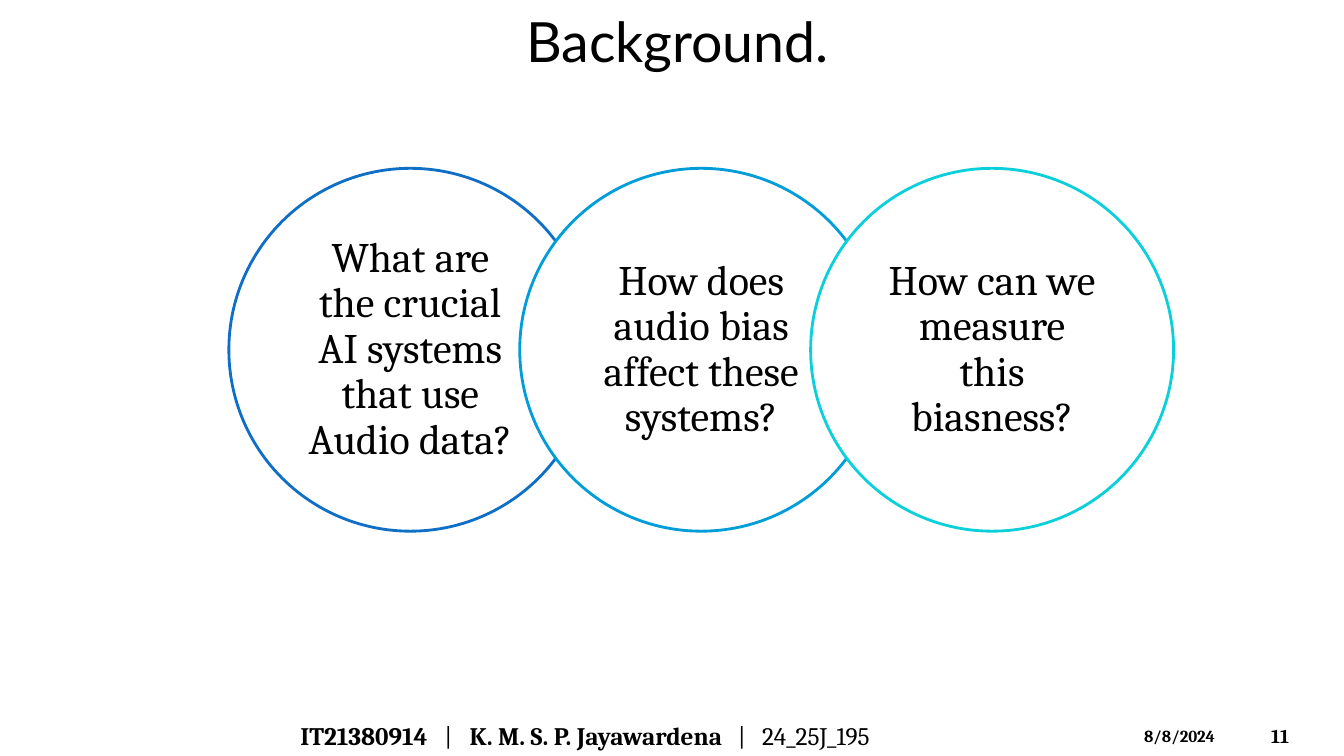
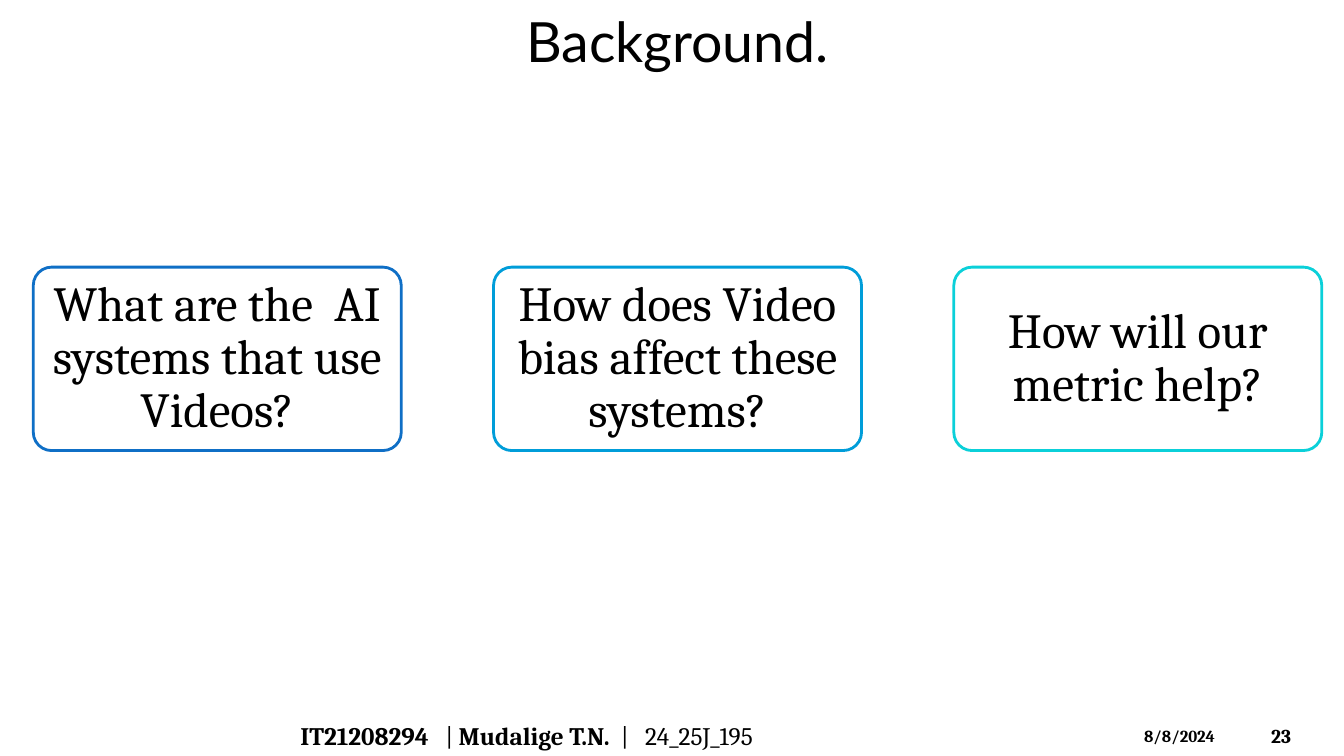
from lxml import etree
from pptx import Presentation
from pptx.dml.color import RGBColor
from pptx.enum.shapes import MSO_SHAPE
from pptx.enum.text import MSO_ANCHOR, PP_ALIGN
from pptx.oxml.ns import qn
from pptx.util import Emu, Pt

OVAL = MSO_SHAPE.OVAL
ROUNDED = MSO_SHAPE.ROUNDED_RECTANGLE
MIDDLE = MSO_ANCHOR.MIDDLE
TOP = MSO_ANCHOR.TOP
LEFT = PP_ALIGN.LEFT
CENTER = PP_ALIGN.CENTER

BLACK = RGBColor(0x00, 0x00, 0x00)
WHITE = RGBColor(0xFF, 0xFF, 0xFF)
OUTLINES = (
    RGBColor(0x0F, 0x6F, 0xC6),
    RGBColor(0x00, 0x9D, 0xD9),
    RGBColor(0x0B, 0xD0, 0xD9),
)
BODY_FONT = "Cambria"
TITLE_FONT = "Lato"

EMU_PER_PX = 9144
SLIDE_WIDTH, SLIDE_HEIGHT = 1333, 750
TITLE_BOX = (33, 7, 1278, 66)
AUTHOR_BOX = (288, 710, 745, 40)
DATE_BOX = (1125, 715, 117, 30)
NUMBER_BOX = (1251, 710, 74, 40)
DATE = "8/8/2024"
PROJECT = "24_25J_195"


def px(value):
    return Emu(round(value * EMU_PER_PX))


def write_text(shape, runs, *, size, font=BODY_FONT, align=LEFT, anchor=MIDDLE,
               spacing=None, insets=(10, 5), tabs=()):
    frame = shape.text_frame
    frame.word_wrap = True
    frame.vertical_anchor = anchor
    frame.margin_left = frame.margin_right = px(insets[0])
    frame.margin_top = frame.margin_bottom = px(insets[1])
    paragraph = frame.paragraphs[0]
    paragraph.alignment = align
    if spacing:
        paragraph.line_spacing = spacing
    if tabs:
        properties = paragraph._p.get_or_add_pPr()
        tab_list = etree.SubElement(properties, qn("a:tabLst"))
        for position in tabs:
            etree.SubElement(tab_list, qn("a:tab"), pos=str(px(position)), algn="l")
    for text, bold in runs:
        run = paragraph.add_run()
        run.text = text
        run.font.name = font
        run.font.size = Pt(size)
        run.font.bold = bold
        run.font.color.rgb = BLACK


def add_text(slide, box, runs, **text_format):
    shape = slide.shapes.add_textbox(*map(px, box))
    write_text(shape, runs, **text_format)


def add_title(slide, box, title):
    add_text(slide, box, [(title, False)], size=39.6, font=TITLE_FONT, align=CENTER)


def add_footer(slide, student, name, tabs, number):
    author_runs = [
        (student, True),
        ("\t|\t", False),
        (name, True),
        ("\t|\t" + PROJECT, False),
    ]
    add_text(slide, AUTHOR_BOX, author_runs, size=18, tabs=tabs)
    add_text(slide, DATE_BOX, [(DATE, True)], size=12, anchor=TOP)
    add_text(slide, NUMBER_BOX, [(number, True)], size=14)


def add_question_row(slide, box, questions, *, kind, width, size, insets, corner=None):
    left, top, row_width, height = box
    pitch = (row_width - width) / (len(questions) - 1)
    for index, (question, outline) in enumerate(zip(questions, OUTLINES)):
        card = (left + index * pitch, top, width, height)
        shape = slide.shapes.add_shape(kind, *map(px, card))
        shape.shadow.inherit = False
        if corner is not None:
            shape.adjustments[0] = corner
        shape.fill.solid()
        shape.fill.fore_color.rgb = WHITE
        shape.line.color.rgb = outline
        shape.line.width = Pt(2)
        write_text(shape, [(question, False)], size=size, align=CENTER,
                   spacing=0.9, insets=insets)


def add_background_slide(presentation, footer, box, questions, **row_format):
    slide = presentation.slides.add_slide(presentation.slide_layouts[6])
    add_title(slide, TITLE_BOX, "Background.")
    add_question_row(slide, box, questions, **row_format)
    add_footer(slide, **footer)


def main():
    presentation = Presentation()
    presentation.slide_width = px(SLIDE_WIDTH)
    presentation.slide_height = px(SLIDE_HEIGHT)

    add_background_slide(
        presentation,
        {"student": "IT21380914", "name": "K. M. S. P. Jayawardena",
         "tabs": (143, 168, 434, 458), "number": "11"},
        (227, 167, 937, 360),
        ("What are the crucial AI systems that use Audio data?",
         "How does audio bias affect these systems?",
         "How can we measure this biasness?"),
        kind=OVAL, width=360, size=30, insets=(20, 4),
    )
    add_background_slide(
        presentation,
        {"student": "IT21208294", "name": "Mudalige T.N.",
         "tabs": (144, 157, 318, 342), "number": "23"},
        (33, 265, 1278, 182),
        ("What are the  AI systems that use Videos?",
         "How does Video bias affect these systems?",
         "How will our metric help?"),
        kind=ROUNDED, width=365, size=35, insets=(7, 5), corner=0.1,
    )
    presentation.save("out.pptx")


if __name__ == "__main__":
    main()
